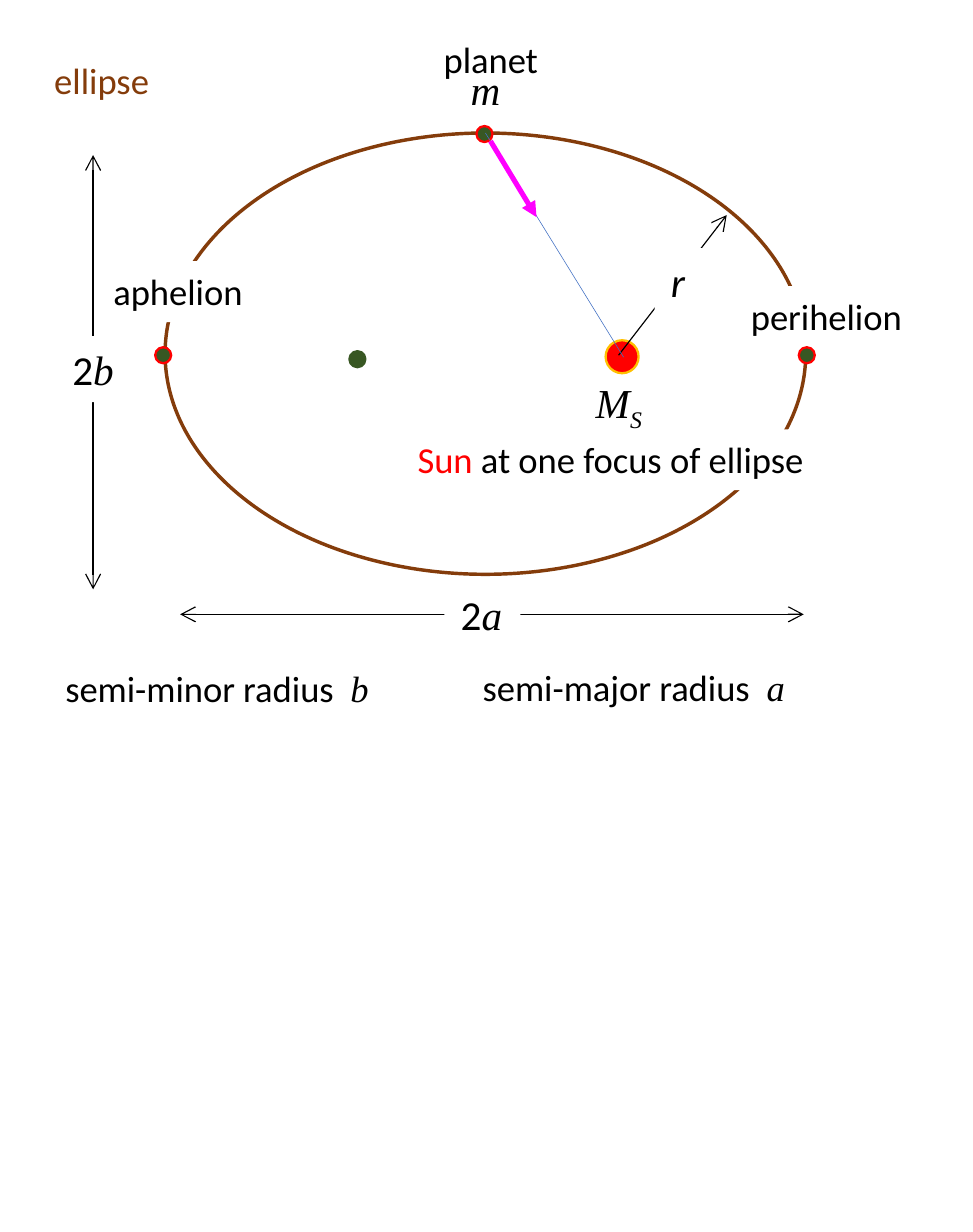
import dataclasses

import lxml.etree
import pptx
import pptx.dml.color
import pptx.enum.shapes
import pptx.enum.text
import pptx.oxml.ns
import pptx.util

SCALE = 914400 / 164.6
SANS, SERIF = "Calibri", "Times New Roman"
BLACK, WHITE, BROWN, RED, GREEN = "000000", "FFFFFF", "843C0B", "FF0000", "385723"
BOX_HIGH = {16: 61, 18: 66}


@dataclasses.dataclass
class Oval:
    left: int
    top: int
    width: int
    height: int
    fill: str | None
    line: str
    weight: float = 1


@dataclasses.dataclass
class Line:
    start: tuple[int, int]
    end: tuple[int, int]
    color: str = BLACK
    weight: float = 0.5
    head: str | None = None
    tail: str | None = None


@dataclasses.dataclass
class Run:
    text: str
    font: str = SANS
    color: str = BLACK
    slant: bool = False
    base: int = 0


@dataclasses.dataclass
class Label:
    left: int
    top: int
    width: int
    size: int
    runs: list[Run]
    fill: str | None = None
    wrap: bool = False


def px(count: int) -> pptx.util.Emu:
    """Turn pixels into EMU."""
    return pptx.util.Emu(round(count * SCALE))


def paint(target, color: str) -> None:
    """Fill the target with a solid hex colour."""
    target.solid()
    target.fore_color.rgb = pptx.dml.color.RGBColor.from_string(color)


def symbol(text: str, base: int = 0) -> Run:
    """Make a slanted serif run for a symbol."""
    return Run(text, SERIF, slant=True, base=base)


def body(x: int, y: int) -> Oval:
    """Make a planet dot centred on a point."""
    return Oval(x - 8, y - 8, 16, 16, GREEN, RED)


def draw_oval(slide, oval: Oval) -> None:
    """Draw an ellipse."""
    shape = slide.shapes.add_shape(
        pptx.enum.shapes.MSO_SHAPE.OVAL,
        px(oval.left), px(oval.top), px(oval.width), px(oval.height))
    shape.shadow.inherit = False
    if oval.fill:
        paint(shape.fill, oval.fill)
    else:
        shape.fill.background()
    paint(shape.line.fill, oval.line)
    shape.line.width = pptx.util.Pt(oval.weight)


def draw_line(slide, line: Line) -> None:
    """Draw a straight line with its arrowheads."""
    shape = slide.shapes.add_connector(
        pptx.enum.shapes.MSO_CONNECTOR.STRAIGHT,
        *map(px, line.start), *map(px, line.end))
    paint(shape.line.fill, line.color)
    shape.line.width = pptx.util.Pt(line.weight)
    qn = pptx.oxml.ns.qn
    props = shape._element.spPr
    stroke = props.find(qn("a:ln"))
    for tag, kind in (("a:headEnd", line.head), ("a:tailEnd", line.tail)):
        if kind:
            lxml.etree.SubElement(stroke, qn(tag), type=kind)
    lxml.etree.SubElement(props, qn("a:effectLst"))


def draw_label(slide, label: Label) -> None:
    """Draw a text box run by run."""
    shape = slide.shapes.add_textbox(
        px(label.left), px(label.top), px(label.width), px(BOX_HIGH[label.size]))
    if label.fill:
        paint(shape.fill, label.fill)
    frame = shape.text_frame
    frame.word_wrap = label.wrap
    frame.auto_size = pptx.enum.text.MSO_AUTO_SIZE.SHAPE_TO_FIT_TEXT
    for part in label.runs:
        run = frame.paragraphs[0].add_run()
        run.text = part.text
        run.font.name = part.font
        run.font.size = pptx.util.Pt(label.size)
        run.font.italic = part.slant
        paint(run.font.fill, part.color)
        if part.base:
            run._r.get_or_add_rPr().set("baseline", str(part.base * 1000))


ITEMS = [
    Oval(165, 133, 640, 441, None, BROWN, 1.5),
    Oval(605, 340, 33, 33, RED, "FFC000"),
    Line((180, 614), (803, 614), head="arrow", tail="arrow"),
    Label(444, 581, 76, 18, [Run("2"), symbol("a")], WHITE),
    Line((93, 589), (93, 155), head="arrow", tail="arrow"),
    Label(56, 336, 76, 18, [Run("2"), symbol("b")], WHITE),
    Label(49, 657, 339, 16, [Run("semi-minor radius  "), symbol("b")]),
    Label(466, 656, 339, 16, [Run("semi-major radius  "), symbol("a")]),
    Oval(349, 351, 16, 16, GREEN, GREEN),
    Label(97, 261, 163, 16, [Run("aphelion")], WHITE),
    Label(734, 286, 186, 16, [Run("perihelion")], WHITE),
    body(806, 355),
    body(163, 355),
    body(484, 134),
    Line((618, 355), (726, 215), tail="arrow"),
    Label(654, 248, 48, 18, [Run("r", slant=True)], WHITE),
    Label(579, 369, 81, 18, [symbol("M"), symbol("S", -25)]),
    Label(454, 56, 63, 18, [symbol("m")]),
    Label(401, 429, 514, 16,
          [Run("Sun", color=RED), Run(" at one focus of ellipse")], WHITE, True),
    Label(38, 50, 128, 16, [Run("ellipse", color=BROWN)]),
    Line((623, 357), (485, 133), "4472C4", 0.25),
    Line((490, 141), (536, 217), "FF00FF", 2.25, tail="triangle"),
    Label(427, 29, 128, 16, [Run("planet")]),
]
DRAW = {Oval: draw_oval, Line: draw_line, Label: draw_label}


def main() -> None:
    """Build the orbit slide and save it."""
    deck = pptx.Presentation()
    deck.slide_width, deck.slide_height = pptx.util.Cm(15), pptx.util.Cm(19)
    slide = deck.slides.add_slide(deck.slide_layouts[6])
    for item in ITEMS:
        DRAW[type(item)](slide, item)
    deck.save("out.pptx")


main()
